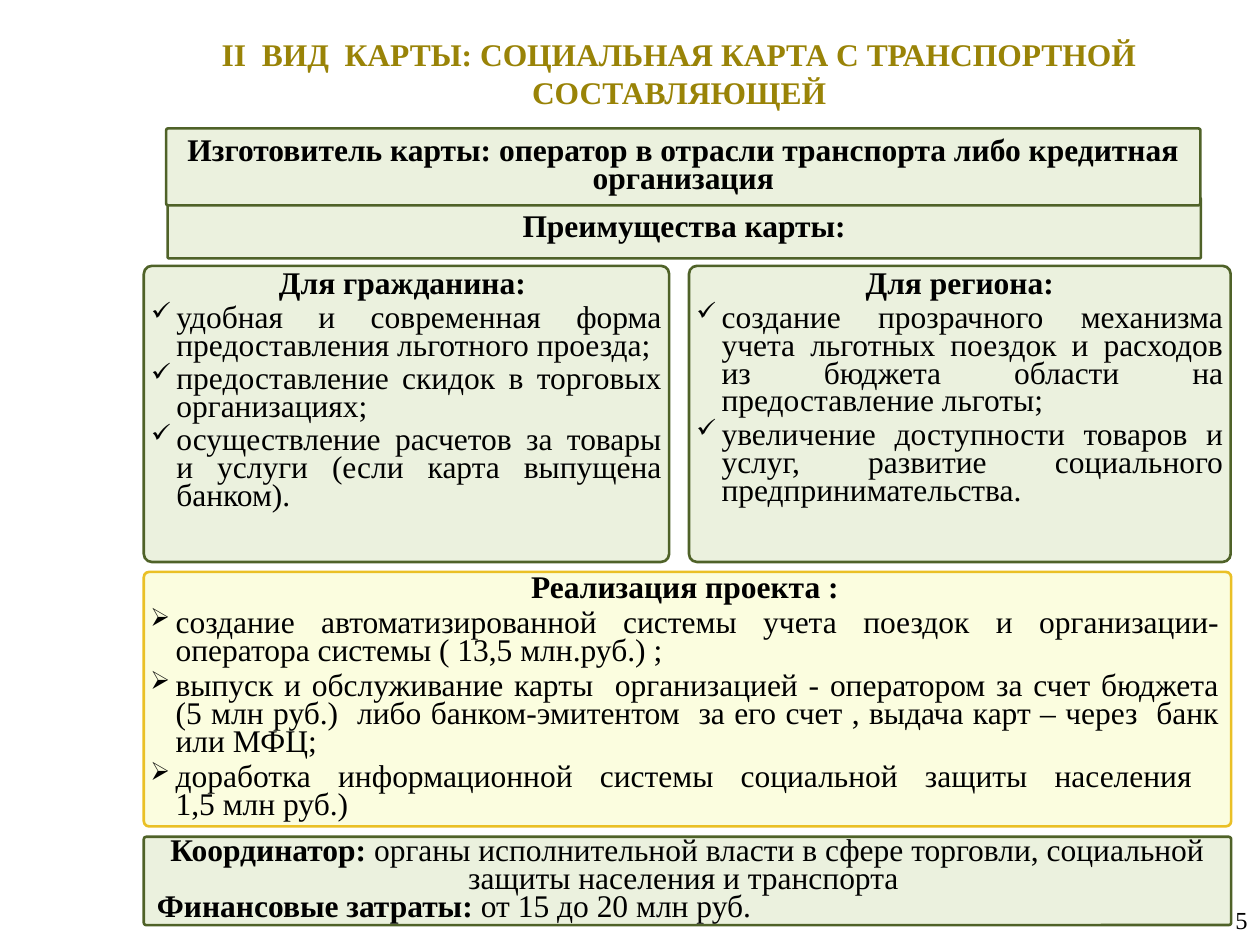
from dataclasses import dataclass

from lxml.etree import SubElement
from pptx import Presentation
from pptx.dml.color import RGBColor
from pptx.enum.shapes import MSO_SHAPE as Shape
from pptx.enum.text import MSO_ANCHOR as Anchor, MSO_AUTO_SIZE as AutoSize, PP_ALIGN as Align
from pptx.oxml.ns import qn
from pptx.util import Cm, Pt

FONT = "Times New Roman"
BLACK = RGBColor(0x00, 0x00, 0x00)
OLIVE = RGBColor(0x99, 0x83, 0x07)
PALE_GREEN = RGBColor(0xEB, 0xF1, 0xDE)
DARK_GREEN = RGBColor(0x4F, 0x62, 0x28)
PALE_YELLOW = RGBColor(0xFB, 0xFD, 0xDF)
GOLD = RGBColor(0xEA, 0xC0, 0x26)

LEFT, WIDTH = 2.9, 21.92
COLUMN_TOP, COLUMN_HEIGHT = 5.36, 5.97
BANNER_INSETS = (0.25, 0.1, 0.25, 0.05)
COLUMN_INSETS = (0.1, 0.1, 0.1, 0)


@dataclass
class Line:
    bold: str = ""
    plain: str = ""
    align: Align = Align.CENTER
    bullet: str = ""


@dataclass
class Panel:
    frame: tuple[float, float, float, float]
    lines: list[Line]
    insets: tuple[float, float, float, float] = BANNER_INSETS
    anchor: Anchor = Anchor.MIDDLE
    space_after: int = 0
    fill: RGBColor = PALE_GREEN
    outline: RGBColor = DARK_GREEN
    corner: float = 0.027


def bulleted(heading: str, bullet: str, items: list[str]) -> list[Line]:
    return [Line(heading)] + [Line("", item, Align.JUSTIFY, bullet) for item in items]


def style_font(font, size: int, color: RGBColor, bold: bool = False) -> None:
    font.name, font.size, font.bold = FONT, Pt(size), bold
    font.color.rgb = color


def add_bullet(para, char: str) -> None:
    properties = para._p.get_or_add_pPr()
    properties.set("marL", str(Cm(0.51)))
    properties.set("indent", str(-Cm(0.51)))
    SubElement(properties, qn("a:buSzPct")).set("val", "80000")
    SubElement(properties, qn("a:buChar")).set("char", char)


def write_line(para, line: Line, space_after: int) -> None:
    if line.bullet:
        add_bullet(para, line.bullet)
    para.alignment = line.align
    para.line_spacing = Pt(16)
    para.space_after = Pt(space_after)
    para.text = line.bold or line.plain
    for span in para.runs:
        style_font(span.font, 18, BLACK, bool(line.bold))
    if line.bold and line.plain:
        span = para.add_run()
        span.text = line.plain
        style_font(span.font, 18, BLACK)


def draw_panel(page, panel: Panel) -> None:
    box = page.shapes.add_shape(Shape.ROUNDED_RECTANGLE, *map(Cm, panel.frame))
    box.adjustments[0] = panel.corner
    box.shadow.inherit = False
    box.fill.solid()
    box.fill.fore_color.rgb = panel.fill
    box.line.color.rgb = panel.outline
    box.line.width = Pt(1.5)
    frame = box.text_frame
    frame.word_wrap = True
    frame.vertical_anchor = panel.anchor
    (frame.margin_left, frame.margin_top,
     frame.margin_right, frame.margin_bottom) = map(Cm, panel.insets)
    for index, line in enumerate(panel.lines):
        para = frame.add_paragraph() if index else frame.paragraphs[0]
        write_line(para, line, panel.space_after)


PANELS = [
    Panel((3.38, 3.99, 20.83, 1.22), [Line("Преимущества карты:")]),
    Panel(
        (LEFT, 11.53, WIDTH, 5.13),
        bulleted("Реализация проекта :", "➢", [
            "создание автоматизированной системы учета поездок и "
            "организации-оператора системы ( 13,5 млн.руб.) ;",
            "выпуск и обслуживание карты  организацией - оператором за счет бюджета "
            "(5 млн руб.)  либо банком-эмитентом  за его счет , "
            "выдача карт – через  банк или МФЦ;",
            "доработка информационной системы социальной защиты населения \v1,5 млн руб.)",
        ]),
        insets=(0.1, 0.13, 0.2, 0.13), space_after=4,
        fill=PALE_YELLOW, outline=GOLD, corner=0.021,
    ),
    Panel(
        (LEFT, COLUMN_TOP, 10.59, COLUMN_HEIGHT),
        bulleted("Для гражданина: ", "✓", [
            "удобная и современная форма предоставления льготного проезда;",
            "предоставление скидок в торговых организациях;",
            "осуществление расчетов за товары и услуги (если карта выпущена банком).",
        ]),
        insets=COLUMN_INSETS, anchor=Anchor.TOP, space_after=3,
    ),
    Panel(
        (13.89, COLUMN_TOP, 10.92, COLUMN_HEIGHT),
        bulleted("Для региона:", "✓", [
            "создание прозрачного механизма учета льготных поездок и расходов "
            "из бюджета области на предоставление льготы;",
            "увеличение доступности товаров и услуг, развитие социального "
            "предпринимательства.",
        ]),
        insets=COLUMN_INSETS, anchor=Anchor.TOP, space_after=3,
    ),
    Panel((LEFT, 16.87, WIDTH, 1.78), [
        Line("Координатор: ", "органы исполнительной власти в сфере торговли, "
             "социальной защиты населения и транспорта "),
        Line("Финансовые затраты: ", "от 15 до 20 млн руб.", Align.JUSTIFY),
    ]),
    Panel((3.35, 2.59, 20.85, 1.55), [
        Line("Изготовитель карты: оператор в отрасли транспорта либо кредитная организация"),
    ]),
]


def main() -> None:
    deck = Presentation()
    deck.slide_width, deck.slide_height = Cm(25.4), Cm(19.05)
    page = deck.slides.add_slide(deck.slide_layouts[5])

    # Title
    title = page.shapes.title
    title.left, title.top, title.width, title.height = map(Cm, (2.44, 0.58, 22.5, 1.8))
    frame = title.text_frame
    frame.text = "II  ВИД  КАРТЫ: СОЦИАЛЬНАЯ КАРТА С ТРАНСПОРТНОЙ СОСТАВЛЯЮЩЕЙ"
    frame.auto_size = AutoSize.NONE
    frame.vertical_anchor = Anchor.TOP
    frame.paragraphs[0].alignment = Align.CENTER
    style_font(frame.paragraphs[0].runs[0].font, 18, OLIVE, True)

    # Page number
    number = page.shapes.add_textbox(*map(Cm, (19.48, 18.03, 5.92, 1.02)))
    frame = number.text_frame
    frame.word_wrap = True
    frame.vertical_anchor = Anchor.MIDDLE
    frame.text = "5"
    frame.paragraphs[0].alignment = Align.RIGHT
    style_font(frame.paragraphs[0].runs[0].font, 14, BLACK)

    # Panels
    for panel in PANELS:
        draw_panel(page, panel)

    deck.save("out.pptx")


if __name__ == "__main__":
    main()
